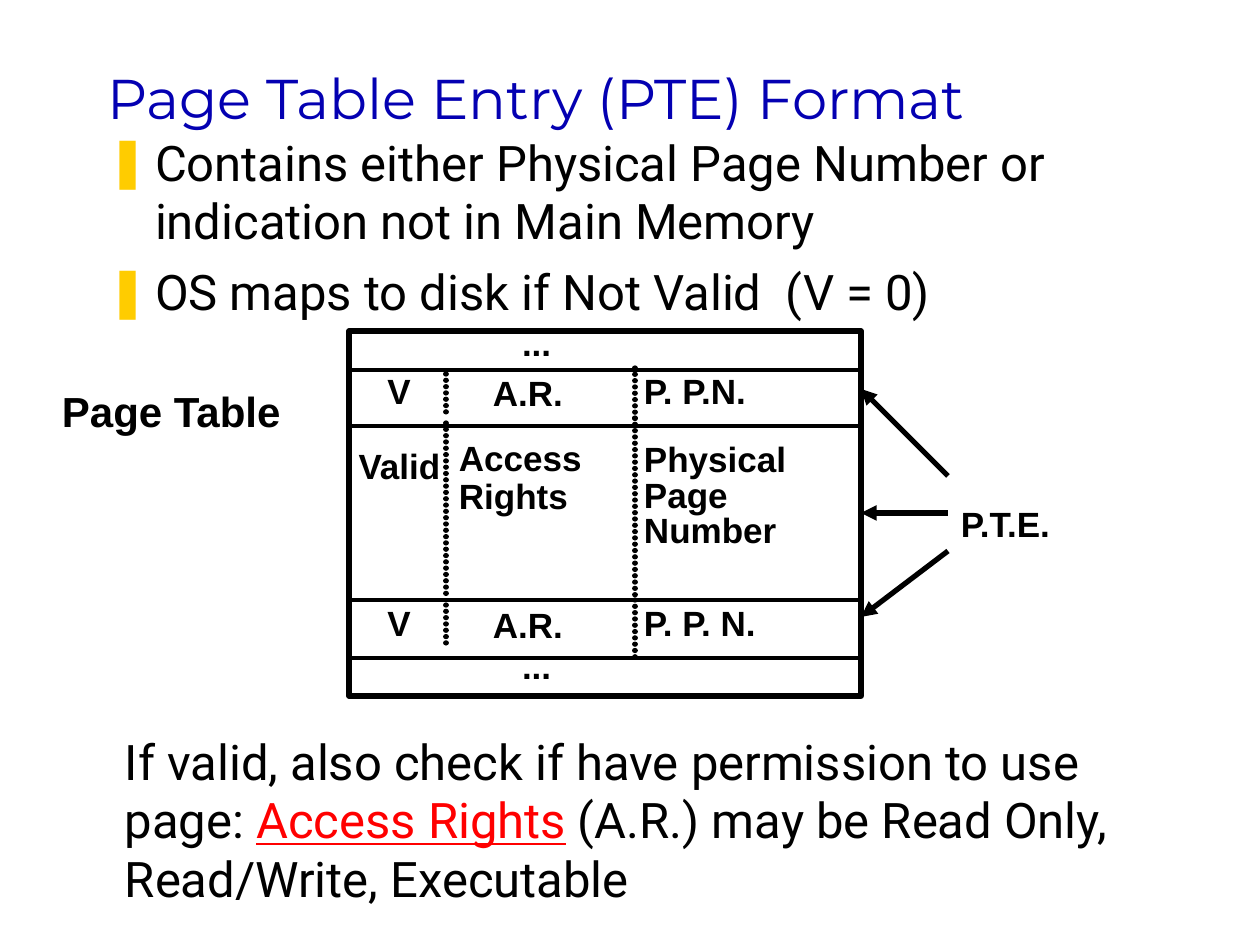
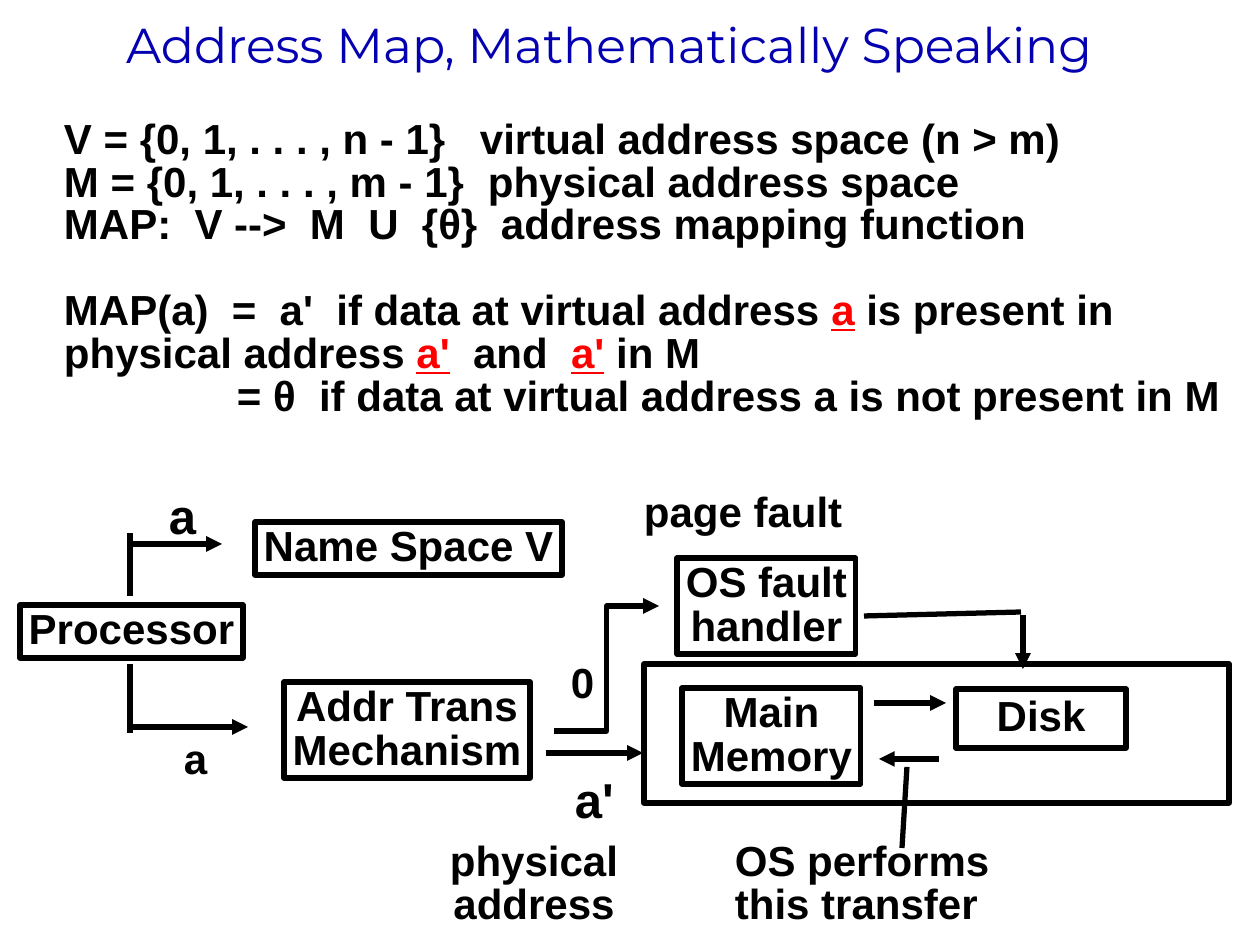
import dataclasses
import typing

import lxml.etree
import pptx
import pptx.dml.color
import pptx.enum.shapes
import pptx.enum.text
import pptx.oxml.ns
import pptx.util

EMU_PER_PX = 914400 / 126
ALIGN = pptx.enum.text.PP_ALIGN
ANCHOR = pptx.enum.text.MSO_ANCHOR
LINK = pptx.enum.shapes.MSO_CONNECTOR


@dataclasses.dataclass(frozen=True)
class Theme:
    ink: str = "000000"
    title: str = "0400B2"
    accent: str = "FF0000"
    bullet: str = "FFCC00"
    title_font: str = "Montserrat"
    body_font: str = "Roboto"
    label_font: str = "Arial"
    title_size: int = 32
    large: int = 28
    medium: int = 24
    small: int = 20
    thick: float = 3
    thin: float = 2.25


T = Theme()


class Box(typing.NamedTuple):
    x: int
    y: int
    w: int
    h: int


class Run(typing.NamedTuple):
    text: str
    marked: bool = False


class Style(typing.NamedTuple):
    size: int
    font: str = T.label_font
    color: str = T.ink
    bold: bool = True


class Label(typing.NamedTuple):
    lines: tuple[str, ...]
    box: Box
    size: int = T.small
    spacing: float = 0.85
    align: ALIGN = ALIGN.LEFT
    inset: tuple[int, int] = (9, 4)


class Line(typing.NamedTuple):
    x1: int
    y1: int
    x2: int
    y2: int
    arrow: bool = False
    dotted: bool = False
    width: float = T.thick
    kind: LINK = LINK.STRAIGHT


BODY = Style(T.large, T.body_font, bold=False)


def px(n: float) -> int:
    return round(n * EMU_PER_PX)


def rgb(color: str) -> pptx.dml.color.RGBColor:
    return pptx.dml.color.RGBColor.from_string(color)


def add(parent, tag: str, **attrs: str):
    return lxml.etree.SubElement(parent, pptx.oxml.ns.qn("a:" + tag), attrs)


def place(sp, box: Box) -> None:
    sp.left, sp.top, sp.width, sp.height = map(px, box)


def setup(tf, inset: tuple[int, int] = (9, 4), wrap: bool = False, anchor=ANCHOR.TOP) -> None:
    tf.auto_size = pptx.enum.text.MSO_AUTO_SIZE.NONE
    tf.word_wrap = wrap
    tf.vertical_anchor = anchor
    tf.margin_left = tf.margin_right = px(inset[0])
    tf.margin_top = tf.margin_bottom = px(inset[1])


def write(tf, paragraphs, style: Style, spacing: float = 1, align=ALIGN.LEFT) -> list:
    for i, runs in enumerate(paragraphs):
        p = tf.add_paragraph() if i else tf.paragraphs[0]
        p.alignment = align
        p.line_spacing = spacing
        p.space_before = p.space_after = pptx.util.Pt(0)
        for run in runs:
            r = p.add_run()
            r.text = run.text
            r.font.name = style.font
            r.font.size = pptx.util.Pt(style.size)
            r.font.bold = style.bold
            r.font.color.rgb = rgb(T.accent if run.marked else style.color)
            if run.marked:
                r.font.underline = True
    return list(tf.paragraphs)


def plain(lines: typing.Iterable[str]) -> list[list[Run]]:
    return [[Run(line)] for line in lines]


def add_title(s, text: str, box: Box, size: int, anchor) -> None:
    sp = s.shapes.title
    place(sp, box)
    setup(sp.text_frame, (13, 6), True, anchor)
    write(sp.text_frame, plain([text]), Style(size, T.title_font, T.title, False))


def add_bullets(s, lines: list[str], box: Box) -> None:
    sp = s.placeholders[1]
    place(sp, box)
    setup(sp.text_frame, (13, 6), True)
    for p in write(sp.text_frame, plain(lines), BODY):
        p.space_before = pptx.util.Pt(7)
        pPr = p._p.get_or_add_pPr()
        pPr.set("marL", str(px(48)))
        pPr.set("indent", str(px(-48)))
        add(add(pPr, "buClr"), "srgbClr", val=T.bullet)
        add(pPr, "buFont", typeface=T.label_font)
        add(pPr, "buChar", char="\u275a")


def add_text(s, paragraphs, box: Box, style: Style, spacing: float = 1) -> list:
    sp = s.shapes.add_textbox(*map(px, box))
    setup(sp.text_frame, wrap=True)
    return write(sp.text_frame, paragraphs, style, spacing)


def add_label(s, label: Label) -> None:
    sp = s.shapes.add_textbox(*map(px, label.box))
    setup(sp.text_frame, label.inset)
    write(sp.text_frame, plain(label.lines), Style(label.size), label.spacing, label.align)


def add_frame(s, box: Box, lines: tuple[str, ...] = ()) -> None:
    sp = s.shapes.add_shape(pptx.enum.shapes.MSO_SHAPE.RECTANGLE, *map(px, box))
    sp.shadow.inherit = False
    sp.fill.background()
    sp.line.color.rgb = rgb(T.ink)
    sp.line.width = pptx.util.Pt(T.thick)
    if lines:
        setup(sp.text_frame, anchor=ANCHOR.MIDDLE)
        write(sp.text_frame, plain(lines), Style(T.medium), 0.88, ALIGN.CENTER)


def add_line(s, line: Line) -> None:
    cx = s.shapes.add_connector(line.kind, *map(px, line[:4]))
    cx.line.color.rgb = rgb(T.ink)
    cx.line.width = pptx.util.Pt(line.width)
    ln = cx.line._get_or_add_ln()
    if line.dotted:
        ln.set("cap", "rnd")
        add(add(ln, "custDash"), "ds", d="100000", sp="20000")
    if line.arrow:
        add(ln, "tailEnd", type="triangle")
    add(cx._element.spPr, "effectLst")


def page_table_slide(prs) -> None:
    s = prs.slides.add_slide(prs.slide_layouts[1])
    add_title(s, "Page Table Entry (PTE) Format", Box(94, 53, 1029, 84), T.title_size, ANCHOR.BOTTOM)
    add_bullets(s, [
        "Contains either Physical Page Number or indication not in Main Memory",
        "OS maps to disk if Not Valid  (V = 0)",
    ], Box(94, 126, 1081, 202))
    add_text(s, [[
        Run("If valid, also check if have permission to use page: "),
        Run("Access Rights", True),
        Run(" (A.R.) may be Read Only, Read/Write, Executable"),
    ]], Box(116, 727, 1081, 184), BODY)

    left, right, valid_edge, rights_edge = 349, 861, 446, 635
    add_frame(s, Box(left, 331, right - left, 365))
    for y in (370, 426, 600, 658):
        add_line(s, Line(left + 3, y, right, y, width=T.thin))
    for x, spans in (
        (valid_edge, ((374, 418), (423, 597), (605, 649))),
        (rights_edge, ((368, 428), (418, 595), (600, 660))),
    ):
        for top, bottom in spans:
            add_line(s, Line(x, top, x, bottom, dotted=True))

    for y in (315, 638):
        add_label(s, Label(("...",), Box(509, y, 54, 55), spacing=1, inset=(13, 6)))
    for y, number in ((372, "P. P.N."), (604, "P. P. N.")):
        add_label(s, Label(("V",), Box(378, y, 42, 43), align=ALIGN.CENTER))
        add_label(s, Label(("A.R.",), Box(484, y, 88, 45), spacing=0.9))
        add_label(s, Label((number,), Box(rights_edge, y, 139, 43)))
    for label in (
        Label(("Page Table",), Box(53, 389, 239, 50), T.medium),
        Label(("Valid",), Box(349, 447, 101, 43), align=ALIGN.CENTER),
        Label(("Access", "Rights"), Box(450, 437, 140, 83), spacing=0.9),
        Label(("Physical", "Page", "Number"), Box(rights_edge, 440, 160, 115)),
        Label(("P.T.E.",), Box(948, 496, 122, 55), spacing=1, inset=(13, 6)),
    ):
        add_label(s, label)
    for start, end in ((476, 389), (513, 513), (551, 617)):
        add_line(s, Line(948, start, right, end, arrow=True))


def address_map_slide(prs) -> None:
    s = prs.slides.add_slide(prs.slide_layouts[5])
    add_title(s, "Address Map, Mathematically Speaking", Box(113, 13, 1103, 62), T.large, ANCHOR.MIDDLE)
    paragraphs = add_text(s, [
        *plain([
            "V = {0, 1, . . . , n - 1}\tvirtual address space (n > m)",
            "M = {0, 1, . . . , m - 1}\tphysical address space",
            "MAP:  V -->  M  U  {θ}\taddress mapping function",
        ]),
        [
            Run("MAP(a)  =  a'  if data at virtual address "), Run("a", True),
            Run(" is present in physical address "), Run("a'", True),
            Run("  and  "), Run("a'", True), Run(" in M"),
        ],
        [Run("= θ  if data at virtual address a is not present in M")],
    ], Box(55, 116, 1205, 307), Style(T.medium), 0.85)
    for p, stop in zip(paragraphs, (416, 424, 437)):
        add(add(p._p.get_or_add_pPr(), "tabLst"), "tab", pos=str(px(stop)), algn="l")
    paragraphs[3].space_before = pptx.util.Pt(24.5)
    paragraphs[4]._p.get_or_add_pPr().set("marL", str(px(173)))
    paragraphs[4]._p.get_or_add_pPr().set("indent", "0")

    add_frame(s, Box(644, 664, 585, 139))
    for box, lines in (
        (Box(20, 605, 223, 53), ("Processor",)),
        (Box(255, 522, 307, 53), ("Name Space V",)),
        (Box(284, 682, 246, 96), ("Addr Trans", "Mechanism")),
        (Box(677, 558, 179, 96), ("OS fault", "handler")),
        (Box(682, 688, 179, 96), ("Main", "Memory")),
        (Box(956, 689, 170, 59), ("Disk",)),
    ):
        add_frame(s, box, lines)
    for line in (
        Line(130, 596, 130, 533),
        Line(132, 544, 222, 544, arrow=True),
        Line(130, 664, 130, 733),
        Line(129, 727, 248, 727, arrow=True),
        Line(546, 753, 643, 753, arrow=True),
        Line(554, 731, 659, 606, arrow=True, kind=LINK.ELBOW),
        Line(874, 703, 946, 703, arrow=True),
        Line(939, 759, 879, 759, arrow=True),
        Line(864, 616, 1021, 612),
        Line(1023, 615, 1023, 669, arrow=True),
        Line(907, 767, 902, 848),
    ):
        add_line(s, line)
    for label in (
        Label(("a",), Box(160, 490, 45, 57), T.large),
        Label(("a",), Box(175, 736, 40, 50), T.medium),
        Label(("0",), Box(562, 660, 40, 50), T.medium),
        Label(("a'",), Box(566, 774, 57, 57), T.large),
        Label(("page fault",), Box(635, 489, 215, 50), T.medium),
        Label(("physical", "address"), Box(435, 838, 198, 93), T.medium, align=ALIGN.CENTER),
        Label(("OS performs", "this transfer"), Box(726, 838, 272, 93), T.medium),
    ):
        add_label(s, label)


def main() -> None:
    prs = pptx.Presentation()
    prs.slide_width, prs.slide_height = px(1260), px(945)
    page_table_slide(prs)
    address_map_slide(prs)
    prs.save("out.pptx")


main()
